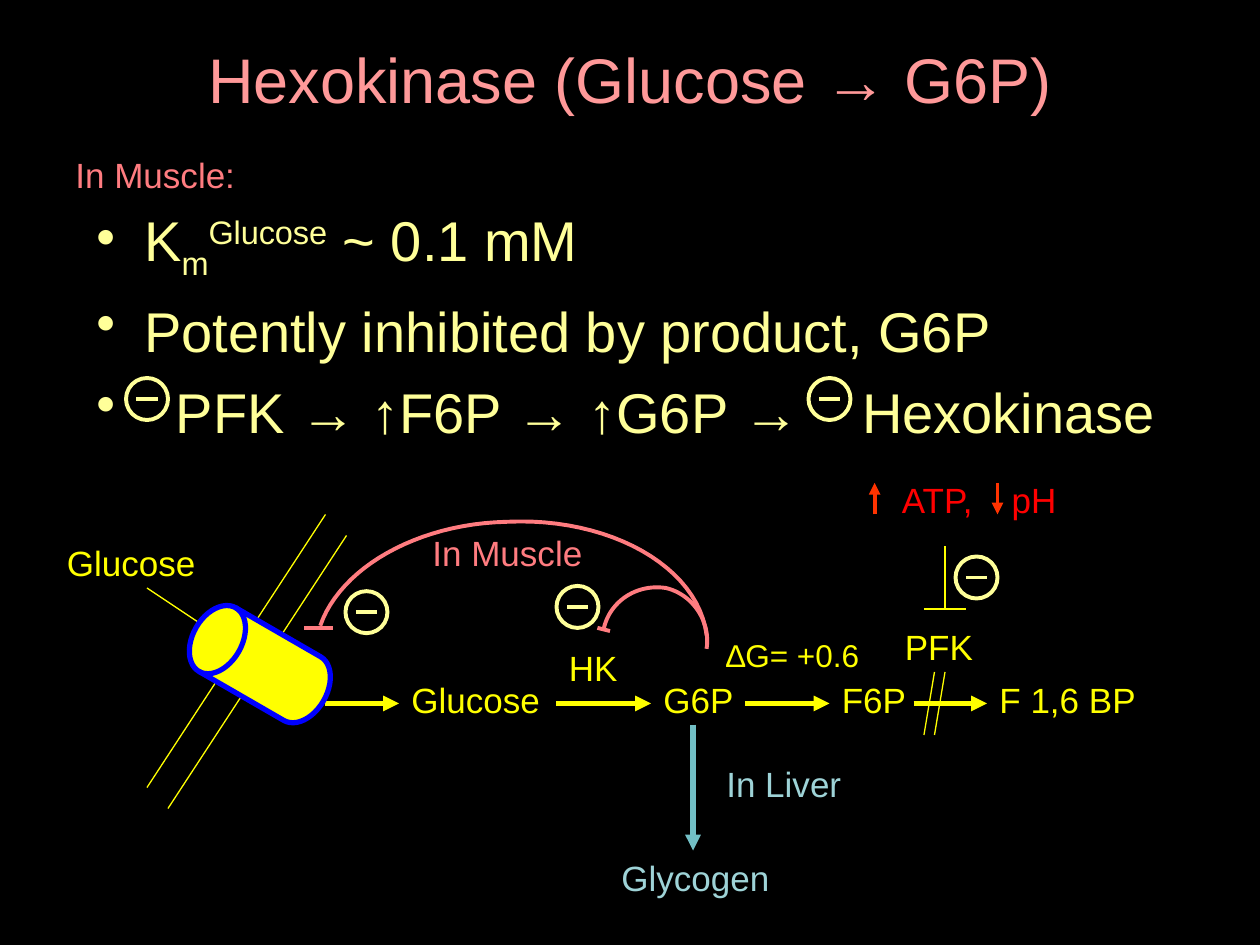
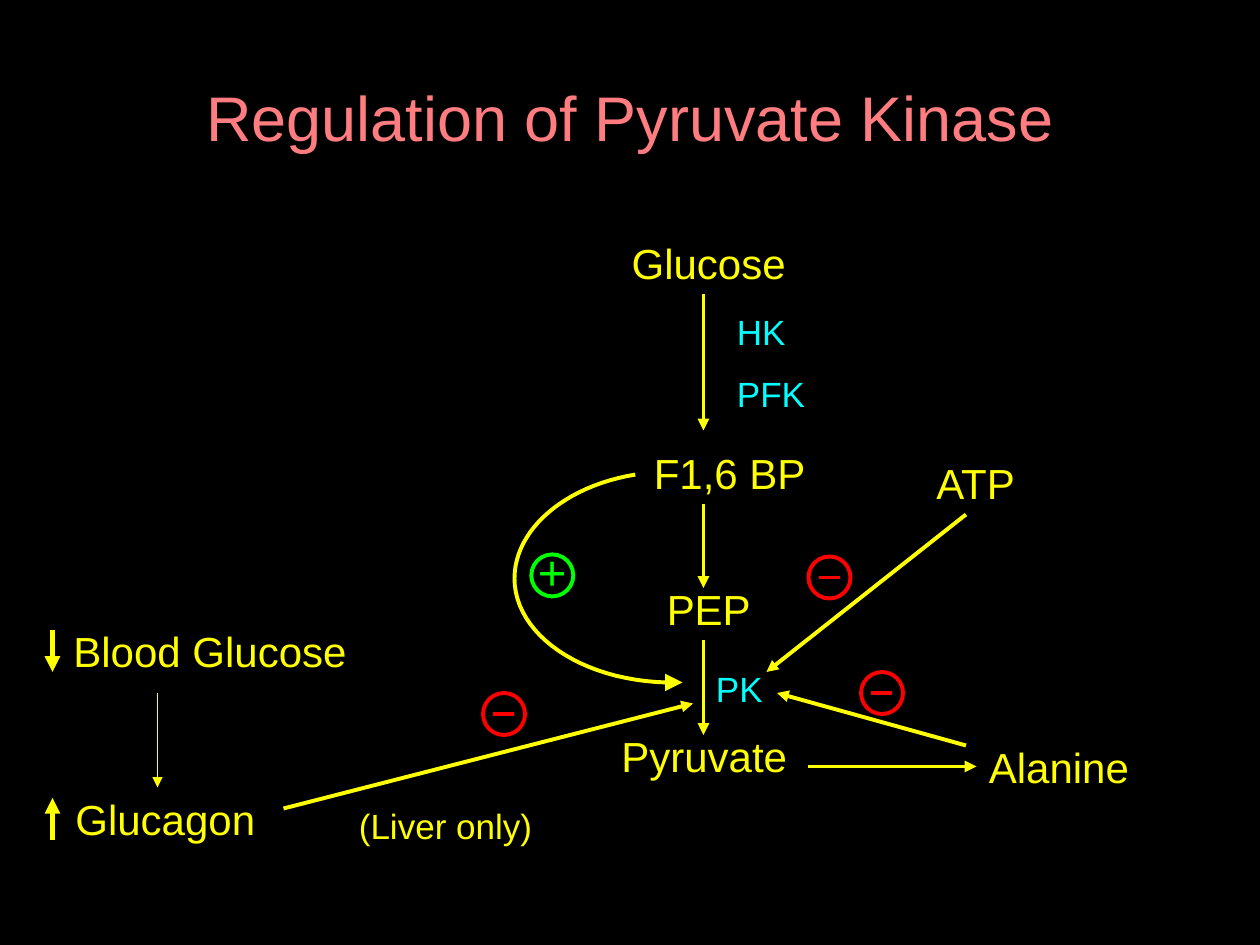
"""Builds two slides on how hexokinase and pyruvate kinase are regulated."""
from dataclasses import dataclass

from lxml import etree
from pptx import Presentation
from pptx import util as u
from pptx.dml.color import RGBColor
from pptx.enum import shapes, text
from pptx.oxml.ns import qn


@dataclass(frozen=True)
class Theme:
    font: str = "Arial"
    background: str = "000000"
    title: str = "FF9999"
    pink: str = "FF7C80"
    cream: str = "FFFF99"
    yellow: str = "FFFF00"
    red: str = "FF0000"
    orange: str = "FF3300"
    green: str = "00FF00"
    cyan: str = "00FFFF"
    blue: str = "0000FF"
    teal: str = "72BFC5"
    pale_teal: str = "9ED3D7"
    title_size: int = 36
    body_size: int = 32
    sign_size: int = 28
    node_size: int = 24
    label_size: int = 20
    small_size: int = 18
    hairline: float = 0.75
    stroke: float = 2.25
    heavy: float = 3


THEME = Theme()
COLUMNS, ROWS = 120, 90
WIDTH, HEIGHT = u.Inches(10), u.Inches(7.5)
CELL = WIDTH // COLUMNS
SIGN_DIAMETER = 4
CURVE_STEPS = 24

HEXOKINASE = {
    "title": ("Hexokinase (Glucose → G6P)", 0, THEME.title),
    "bullets": [
        (0.38, [("K", {}), ("m", {"baseline": -25000}),
                ("Glucose", {"baseline": 30000}), (" ~ 0.1 mM", {})]),
        (0.38, [("Potently inhibited by product, G6P", {})]),
        (0.63, [("PFK → ↑F6P → ↑G6P →", {}), (" ", {"spc": 2670}),
                ("Hexokinase", {})]),
    ],
    "labels": [
        (THEME.yellow, THEME.small_size, "center", [("∆G= +0.6", 66, 60, 19)]),
        (THEME.yellow, THEME.label_size, "center", [("Glucose", 0, 51, 25)]),
        (THEME.yellow, THEME.label_size, "left", [
            ("Glucose", 38, 64, 15), ("G6P", 62, 64, 12), ("F6P", 79, 64, 11),
            ("F 1,6 BP", 94, 64, 22), ("PFK", 85, 59, 13), ("HK", 53, 61, 8)]),
        (THEME.pale_teal, THEME.label_size, "left", [
            ("In Liver", 68, 72, 18), ("Glycogen", 58, 81, 19)]),
        (THEME.pink, THEME.label_size, "left", [
            ("In Muscle:", 6, 14, 19), ("In Muscle", 40, 50, 19)]),
    ],
    "lines": [
        (THEME.yellow, THEME.hairline, None, [
            (14, 75, 31, 49), (16, 77, 33, 51), (20, 60, 14, 56),
            (89, 64, 88, 70), (90, 64, 89, 70),
            (88, 58, 92, 58), (90, 58, 90, 52)]),
        (THEME.yellow, THEME.heavy, "med", [
            (31, 67, 38, 67), (53, 67, 62, 67), (71, 67, 79, 67), (87, 67, 94, 67)]),
        (THEME.teal, THEME.heavy, "med", [(66, 69, 66, 81)]),
        (THEME.orange, THEME.stroke, "med", [(83.3, 49, 83.3, 46), (95, 46, 95, 49)]),
        (THEME.pink, THEME.stroke, None, [
            (56.9, 59.8, 58.1, 60.1), (29, 59.8, 31.7, 59.8)]),
    ],
    "curves": [
        (THEME.pink, [(57.5, 59.9), (58.1, 57.2), (60.7, 55.6), (63.4, 56),
                      (66, 56.6), (67.7, 59.2), (67.3, 61.8)]),
        (THEME.pink, [(30.5, 59.6), (32.4, 54.1), (39.7, 49.9), (48.2, 49.7),
                      (58.1, 49.2), (66.5, 54), (67.3, 60.5)]),
    ],
    "minus_signs": (THEME.cream, [
        (14, 38), (79, 38), (93, 55), (55, 57.8), (34.9, 58.3)]),
}

PYRUVATE_KINASE = {
    "title": ("Regulation of Pyruvate Kinase", 3.6, THEME.pink),
    "labels": [
        (THEME.yellow, THEME.node_size, "center", [
            ("Glucose", 50, 22, 35), ("F1,6 BP", 58, 42, 23),
            ("PEP", 57, 55, 21), ("Blood Glucose", 3, 59, 34)]),
        (THEME.yellow, THEME.node_size, "left", [
            ("Pyruvate", 58, 69, 19), ("Alanine", 93, 70, 25),
            ("ATP", 88, 43, 11), ("Glucagon", 6, 75, 20)]),
        (THEME.cyan, THEME.label_size, "left", [
            ("HK\nPFK", 69, 29, 20), ("PK", 67, 63, 14)]),
        (THEME.yellow, THEME.label_size, "left", [("(Liver only)", 33, 76, 19)]),
        (THEME.green, THEME.sign_size, "center", [("+", 49, 51, 7.2)]),
    ],
    "lines": [
        (THEME.yellow, THEME.stroke, "med", [
            (67, 28, 67, 41), (67, 48, 67, 56), (67, 61, 67, 70),
            (77, 73, 93, 73), (92, 71, 74, 66), (92, 49, 73, 64), (27, 77, 66, 67)]),
        (THEME.yellow, THEME.heavy, "med", [(5, 80, 5, 76), (5, 60, 5, 64)]),
        (THEME.yellow, THEME.hairline, "med", [(15, 66, 15, 75)]),
        (THEME.yellow, THEME.hairline, "lg", [(63, 65, 65, 65)]),
    ],
    "curves": [
        (THEME.yellow, [(60.5, 45.2), (53.8, 46.3), (49, 50.4), (49, 55.1),
                        (49, 60.4), (55.3, 64.8), (63.5, 65)]),
    ],
    "minus_signs": (THEME.red, [(48, 68), (84, 66), (79, 55)]),
}


def cells(*values):
    """Turn grid units into lengths."""
    return [u.Emu(round(value * CELL)) for value in values]


def add_run(paragraph, wording, color, size, **attributes):
    """Add one styled run."""
    run = paragraph.add_run()
    run.text = wording
    run.font.name = THEME.font
    run.font.size = u.Pt(size)
    run.font.color.rgb = RGBColor.from_string(color)
    for name, value in attributes.items():
        run.font._element.set(name, str(value))


def add_frame(slide, left, top, width, height):
    """Add a wrapping text box and return its frame."""
    frame = slide.shapes.add_textbox(*cells(left, top, width, height)).text_frame
    frame.word_wrap = True
    return frame


def indent(paragraph, margin, first=0):
    """Set the left margin and first-line offset in inches."""
    properties = paragraph._p.get_or_add_pPr()
    properties.set("marL", str(u.Inches(margin)))
    properties.set("indent", str(u.Inches(first)))
    return properties


def add_label(slide, wording, left, top, width, color, size, align):
    """Add a label with one paragraph for each line of wording."""
    lines = wording.split("\n")
    frame = add_frame(slide, left, top, width, len(lines) * size * 0.25)
    for index, line in enumerate(lines):
        paragraph = frame.add_paragraph() if index else frame.paragraphs[0]
        paragraph.alignment = text.PP_ALIGN[align.upper()]
        if index:
            paragraph.space_before = u.Pt(size * 0.57)
        add_run(paragraph, line, color, size)


def add_title(slide, wording, top, color):
    """Add the centred slide title."""
    frame = add_frame(slide, 6, top, COLUMNS - 12, 15)
    frame.vertical_anchor = text.MSO_ANCHOR.MIDDLE
    frame.paragraphs[0].alignment = text.PP_ALIGN.CENTER
    add_run(frame.paragraphs[0], wording, color, THEME.title_size)


def add_bullets(slide, bullets):
    """Add the bulleted body text."""
    frame = add_frame(slide, 8, 19, 108, 26)
    for index, (margin, runs) in enumerate(bullets):
        paragraph = frame.add_paragraph() if index else frame.paragraphs[0]
        if index:
            paragraph.space_before = u.Pt(THEME.body_size / 4)
        properties = indent(paragraph, margin, -margin)
        etree.SubElement(properties, qn("a:buChar")).set("char", "•")
        for wording, attributes in runs:
            add_run(paragraph, wording, THEME.cream, THEME.body_size, **attributes)


def style_line(shape, color, weight):
    """Colour an outline and set its weight."""
    shape.line.color.rgb = RGBColor.from_string(color)
    shape.line.width = u.Pt(weight)


def add_line(slide, ends, color, weight, head=None):
    """Add a straight line, with an arrowhead when a head size is given."""
    line = slide.shapes.add_connector(shapes.MSO_CONNECTOR.STRAIGHT, *cells(*ends))
    style_line(line, color, weight)
    properties = line._element.spPr
    if head:
        tail = etree.SubElement(properties.find(qn("a:ln")), qn("a:tailEnd"))
        for name, value in (("type", "triangle"), ("w", head), ("len", head)):
            tail.set(name, value)
    etree.SubElement(properties, qn("a:effectLst"))


def add_outline(slide, kind, box, color, weight):
    """Add an unfilled preset shape."""
    shape = slide.shapes.add_shape(kind, *cells(*box))
    shape.shadow.inherit = False
    shape.fill.background()
    style_line(shape, color, weight)
    return shape


def add_ring(slide, x, y, color):
    """Add the circle around a plus or minus sign."""
    radius = SIGN_DIAMETER / 2
    box = (x - radius, y - radius, SIGN_DIAMETER, SIGN_DIAMETER)
    add_outline(slide, shapes.MSO_SHAPE.OVAL, box, color, THEME.stroke)


def bezier(points, t):
    """Return the point at t on a cubic curve."""
    weights = ((1 - t) ** 3, 3 * t * (1 - t) ** 2, 3 * t * t * (1 - t), t ** 3)
    return tuple(sum(w * p[axis] for w, p in zip(weights, points)) for axis in (0, 1))


def add_curve(slide, color, points):
    """Draw joined cubic curves as one open outline."""
    track = [bezier(points[start:start + 4], step / CURVE_STEPS)
             for start in range(0, len(points) - 1, 3)
             for step in range(1, CURVE_STEPS + 1)]
    builder = slide.shapes.build_freeform(*cells(*points[0]))
    builder.add_line_segments([cells(*point) for point in track], close=False)
    curve = builder.convert_to_shape()
    curve.shadow.inherit = False
    curve.fill.background()
    style_line(curve, color, THEME.stroke)


def add_transporter(slide):
    """Add the glucose transporter in the membrane."""
    disk = add_outline(slide, shapes.MSO_SHAPE.FLOWCHART_MAGNETIC_DISK,
                       (21.25, 56.25, 7, 14), THEME.blue, THEME.heavy)
    disk.fill.solid()
    disk.fill.fore_color.rgb = RGBColor.from_string(THEME.yellow)
    disk.rotation = 300


def add_inhibitors(slide):
    """Add the ATP and pH label, with room for its arrows."""
    paragraph = add_frame(slide, 81, 45, 23, 5).paragraphs[0]
    indent(paragraph, 0.31)
    for wording, attributes in (("ATP,", {}), (" ", {"spc": 1670}), ("pH", {})):
        add_run(paragraph, wording, THEME.red, THEME.label_size, **attributes)


def add_pathway(presentation, content):
    """Add a slide with its title, lines, curves, signs and labels."""
    slide = presentation.slides.add_slide(presentation.slide_layouts[6])
    slide.background.fill.solid()
    slide.background.fill.fore_color.rgb = RGBColor.from_string(THEME.background)
    add_title(slide, *content["title"])
    for color, weight, head, lines in content["lines"]:
        for ends in lines:
            add_line(slide, ends, color, weight, head)
    for color, points in content["curves"]:
        add_curve(slide, color, points)
    color, centers = content["minus_signs"]
    for x, y in centers:
        add_line(slide, (x - 1, y, x + 1, y), color, THEME.stroke)
        add_ring(slide, x, y, color)
    for color, size, align, labels in content["labels"]:
        for label in labels:
            add_label(slide, *label, color, size, align)
    return slide


def main():
    """Build and save the presentation."""
    presentation = Presentation()
    presentation.slide_width, presentation.slide_height = WIDTH, HEIGHT
    hexokinase = add_pathway(presentation, HEXOKINASE)
    add_bullets(hexokinase, HEXOKINASE["bullets"])
    add_transporter(hexokinase)
    add_inhibitors(hexokinase)
    pyruvate_kinase = add_pathway(presentation, PYRUVATE_KINASE)
    add_ring(pyruvate_kinase, 52.6, 54.8, THEME.green)
    presentation.save("out.pptx")


if __name__ == "__main__":
    main()
